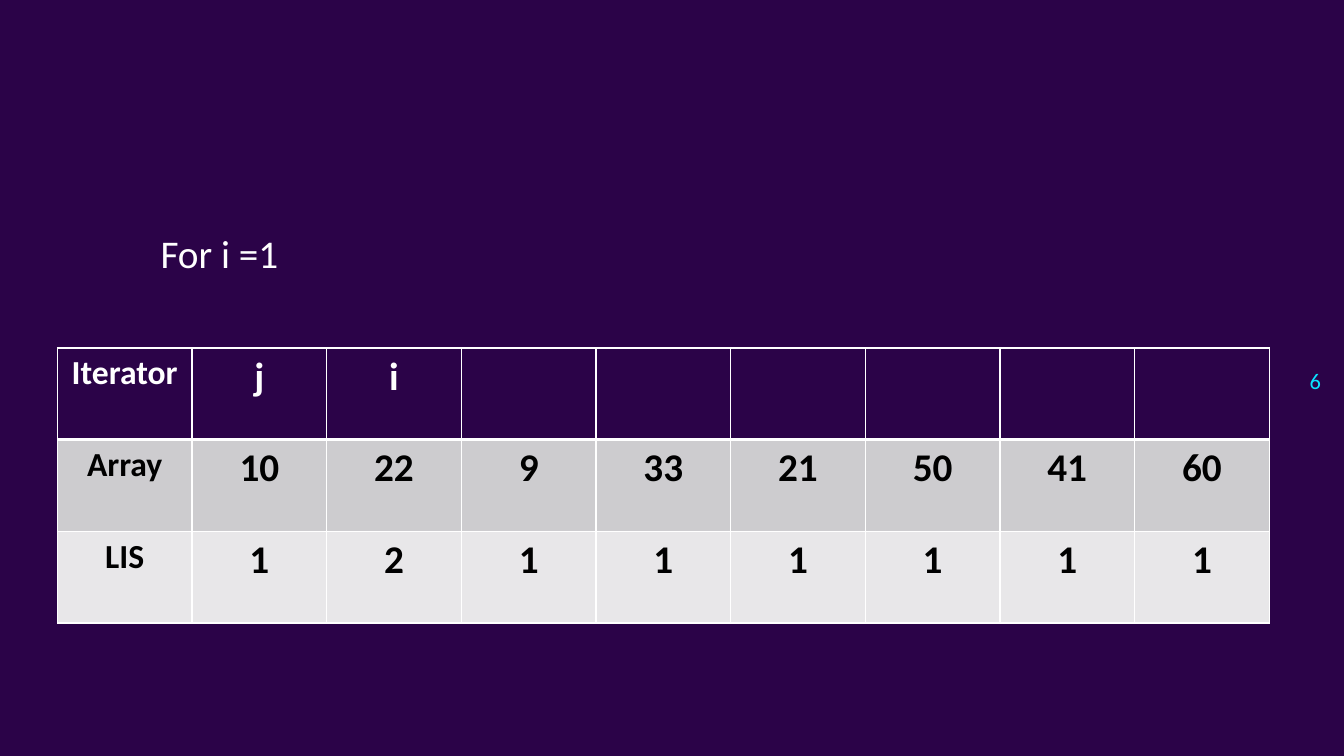
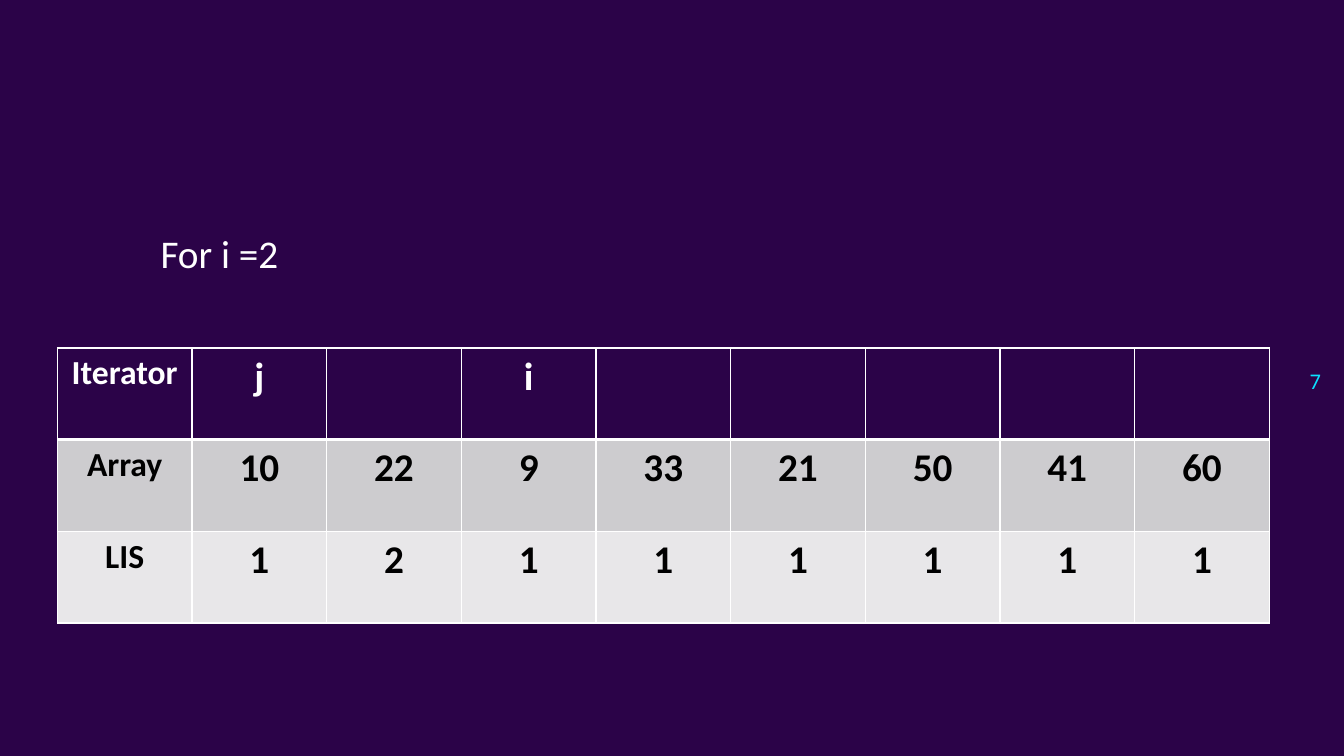
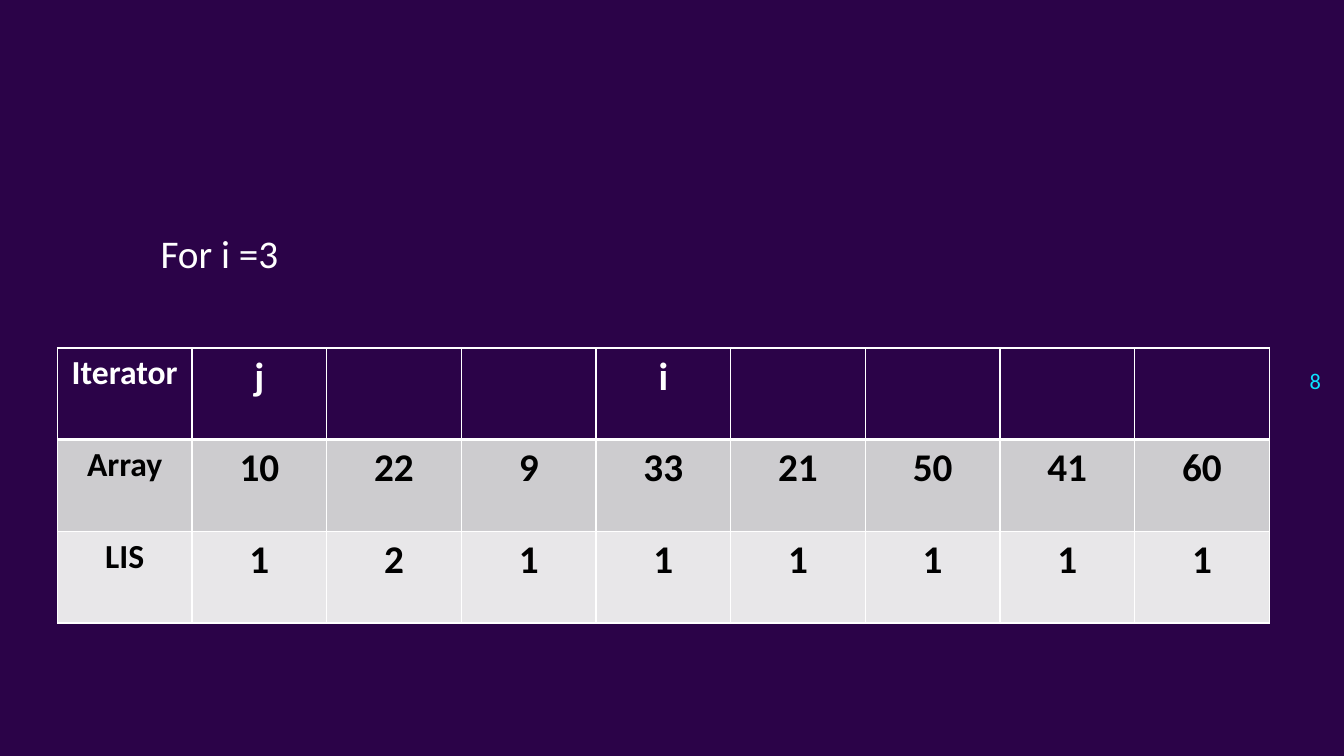
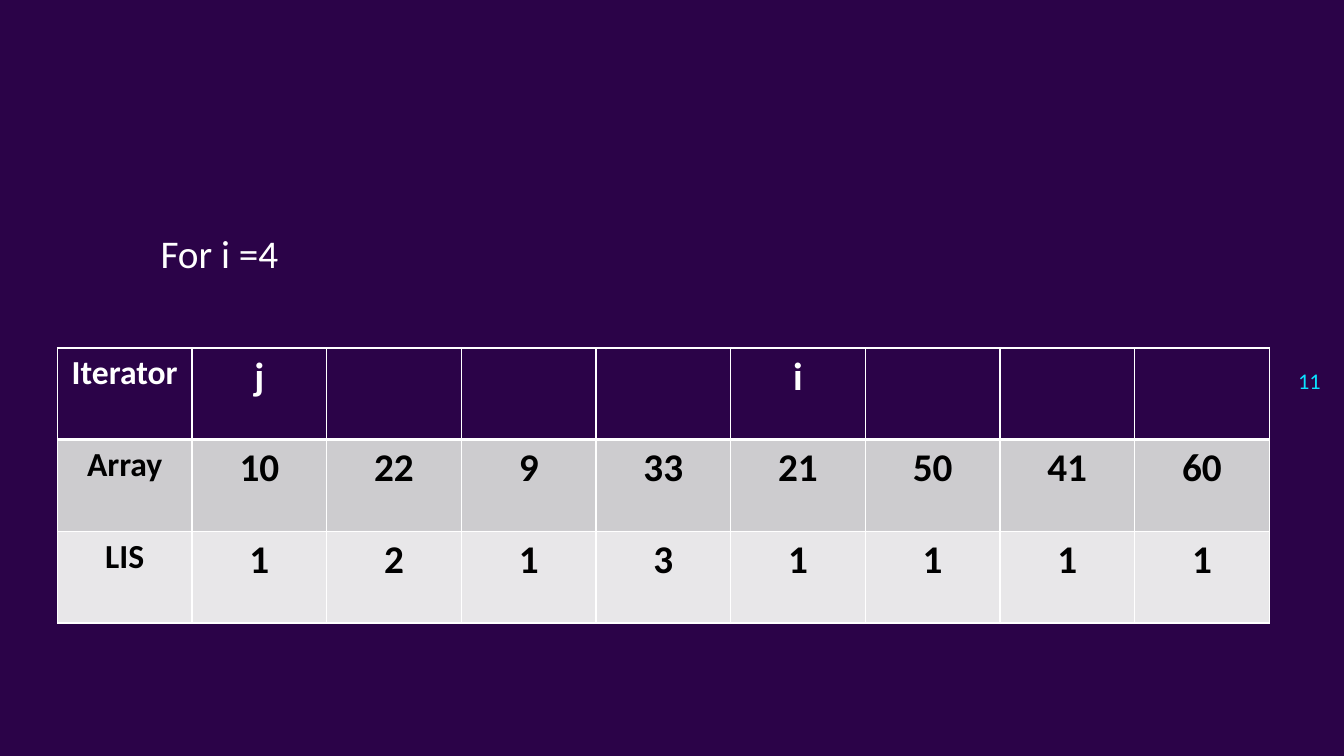
"""Build the step-by-step slides of a longest increasing subsequence run."""
from dataclasses import dataclass

from lxml import etree
from pptx import Presentation
from pptx import util as u
from pptx.dml.color import RGBColor
from pptx.enum import text
from pptx.oxml import ns

FONT = "Calibri"
PURPLE, WHITE, BLACK, CYAN = "2B0348", "FFFFFF", "000000", "0BE1FF"
ROW_FILLS = (PURPLE, "CDCCCF", "E8E7E9")
ROW_INKS = (WHITE, BLACK, BLACK)
ARRAY = (10, 22, 9, 33, 21, 50, 41, 60)
TABLE_LEFT, TABLE_TOP = 41, 248.5
COLUMN_WIDTH, ROW_HEIGHT = 96.2, 65.5
THIN, THICK = 1, 3


@dataclass(frozen=True)
class Step:
    i: int
    page_number: int
    lengths: tuple[int, ...]


STEPS = (
    Step(1, 6, (1, 2, 1, 1, 1, 1, 1, 1)),
    Step(2, 7, (1, 2, 1, 1, 1, 1, 1, 1)),
    Step(3, 8, (1, 2, 1, 1, 1, 1, 1, 1)),
    Step(4, 11, (1, 2, 1, 3, 1, 1, 1, 1)),
)


def rgb(value: str) -> RGBColor:
    return RGBColor.from_string(value)


def write(frame, words: str, size: float, ink: str, align, bold: bool = False) -> None:
    frame.text = words
    para = frame.paragraphs[0]
    para.alignment = align
    para.font.name = FONT
    para.font.size = u.Pt(size)
    para.font.bold = bold
    para.font.color.rgb = rgb(ink)


def place(box, left: float, top: float, width: float, height: float) -> None:
    box.left, box.top = u.Pt(left), u.Pt(top)
    box.width, box.height = u.Pt(width), u.Pt(height)


def add_border(cell, side: str, width: float) -> None:
    properties = cell._tc.get_or_add_tcPr()
    line = etree.SubElement(properties, ns.qn(f"a:ln{side}"), w=str(u.Pt(width)))
    fill = etree.SubElement(line, ns.qn("a:solidFill"))
    etree.SubElement(fill, ns.qn("a:srgbClr"), val=WHITE)


def add_title(page, step: Step) -> None:
    title = page.shapes.title
    place(title, 107.5, 143.5, 575, 88.5)
    frame = title.text_frame
    frame.auto_size = text.MSO_AUTO_SIZE.NONE
    frame.vertical_anchor = text.MSO_ANCHOR.TOP
    write(frame, f"For i ={step.i}", 28, WHITE, text.PP_ALIGN.LEFT)
    para = frame.paragraphs[0]
    para.line_spacing = 1.5
    para.space_before = u.Pt(0)


def add_page_number(page, step: Step) -> None:
    box = page.shapes.add_textbox(u.Pt(907), u.Pt(249), u.Pt(43.5), u.Pt(45.5))
    frame = box.text_frame
    frame.word_wrap = True
    frame.vertical_anchor = text.MSO_ANCHOR.MIDDLE
    write(frame, str(step.page_number), 16, CYAN, text.PP_ALIGN.RIGHT)


def add_step_table(page, step: Step) -> None:
    iterators = [{0: "j", step.i: "i"}.get(index, "") for index in range(len(ARRAY))]
    rows = (("Iterator", *iterators), ("Array", *ARRAY), ("LIS", *step.lengths))
    columns = len(ARRAY) + 1
    table = page.shapes.add_table(
        len(rows), columns, u.Pt(TABLE_LEFT), u.Pt(TABLE_TOP),
        u.Pt(COLUMN_WIDTH * columns), u.Pt(ROW_HEIGHT * len(rows)),
    ).table
    table.horz_banding = False
    for column in table.columns:
        column.width = u.Pt(COLUMN_WIDTH)
    for row_index, values in enumerate(rows):
        table.rows[row_index].height = u.Pt(ROW_HEIGHT)
        top = THICK if row_index == 1 else THIN
        bottom = THICK if row_index == 0 else THIN
        for column_index, value in enumerate(values):
            cell = table.cell(row_index, column_index)
            for side, width in (("L", THIN), ("R", THIN), ("T", top), ("B", bottom)):
                add_border(cell, side, width)
            cell.fill.solid()
            cell.fill.fore_color.rgb = rgb(ROW_FILLS[row_index])
            size = 24 if column_index == 0 else 28
            write(cell.text_frame, str(value), size, ROW_INKS[row_index],
                  text.PP_ALIGN.CENTER, bold=True)


def main() -> None:
    deck = Presentation()
    deck.slide_width, deck.slide_height = u.Pt(960), u.Pt(540)
    background = deck.slide_master.background.fill
    background.solid()
    background.fore_color.rgb = rgb(PURPLE)
    title_only = deck.slide_layouts.get_by_name("Title Only")
    for step in STEPS:
        page = deck.slides.add_slide(title_only)
        add_page_number(page, step)
        add_title(page, step)
        add_step_table(page, step)
    deck.save("out.pptx")


if __name__ == "__main__":
    main()
